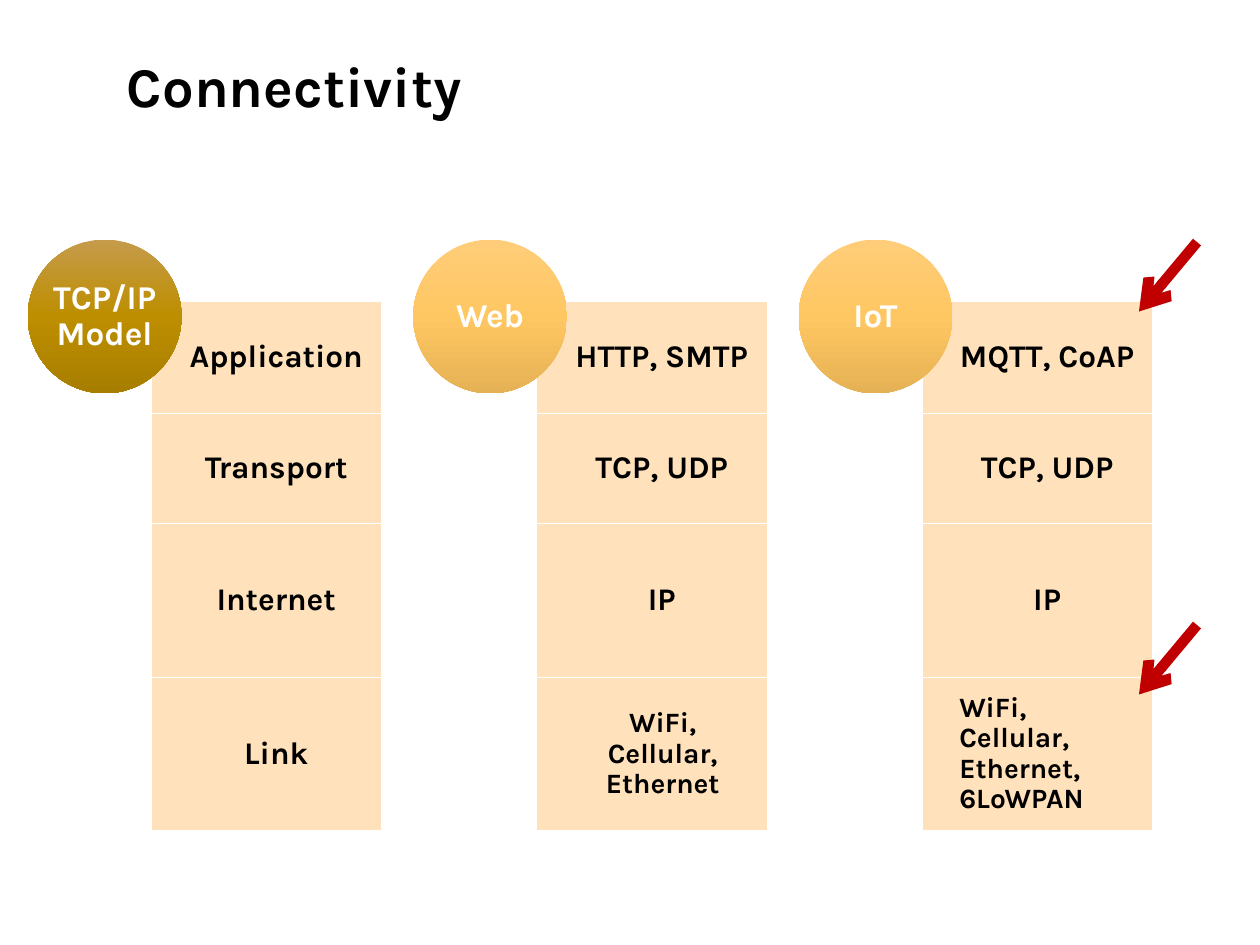
from lxml import etree
from pptx import Presentation
from pptx.dml.color import RGBColor
from pptx.enum.shapes import MSO_CONNECTOR, MSO_SHAPE
from pptx.enum.text import MSO_ANCHOR, PP_ALIGN
from pptx.oxml.ns import qn
from pptx.util import Cm, Pt

LEFT, CENTER = PP_ALIGN.LEFT, PP_ALIGN.CENTER
MIDDLE = MSO_ANCHOR.MIDDLE
RECTANGLE, OVAL = MSO_SHAPE.RECTANGLE, MSO_SHAPE.OVAL
STRAIGHT = MSO_CONNECTOR.STRAIGHT

BLACK = RGBColor(0x00, 0x00, 0x00)
WHITE = RGBColor(0xFF, 0xFF, 0xFF)
PEACH = RGBColor(0xFF, 0xDF, 0xB4)
RED = RGBColor(0xC0, 0x00, 0x00)
BRONZE = [RGBColor(0xC5, 0x9B, 0x4B), RGBColor(0xBD, 0x8E, 0x00), RGBColor(0xA8, 0x7E, 0x00)]
GOLD = [RGBColor(0xFF, 0xCD, 0x7A), RGBColor(0xFF, 0xC7, 0x62), RGBColor(0xE5, 0xB1, 0x55)]
FONT = "Karla"

# Content: heading, circle gradient, layers from top to bottom (text, size, alignment)
TITLE = "Connectivity"
STACKS = [
    ("TCP/IP Model", BRONZE, [("Application", 18, CENTER), ("Transport", 18, CENTER),
                              ("Internet", 18, CENTER), ("Link", 18, CENTER)]),
    ("Web", GOLD, [("HTTP, SMTP", 18, CENTER), ("TCP, UDP", 18, CENTER),
                   ("IP", 18, CENTER), ("WiFi, Cellular, Ethernet", 16, CENTER)]),
    ("IoT", GOLD, [("MQTT, CoAP", 18, CENTER), ("TCP, UDP", 18, CENTER),
                   ("IP", 18, CENTER), ("WiFi, Cellular, Ethernet, 6LoWPAN", 16, LEFT)]),
]

# Layout in centimetres
LAYER_HEIGHTS = [2.27, 2.21, 3.1, 3.1]
LAYERS_LEFT, LAYERS_TOP, LAYER_WIDTH = 3.05, 6.07, 4.65
STACK_PITCH = 7.77
CIRCLE_LEFT, CIRCLE_TOP, CIRCLE_SIZE = 0.56, 4.83, 3.1
ARROW_TOPS = [4.88, 12.6]
ARROW_TAIL_X, ARROW_TIP_X, ARROW_DROP = 24.13, 22.96, 1.4


def write(shape, text, size, color, align, insets):
    frame = shape.text_frame
    frame.text = text
    frame.word_wrap = True
    frame.vertical_anchor = MIDDLE
    (frame.margin_left, frame.margin_top,
     frame.margin_right, frame.margin_bottom) = [Cm(inset) for inset in insets]
    paragraph = frame.paragraphs[0]
    paragraph.alignment = align
    paragraph.line_spacing = 0.9
    font = paragraph.runs[0].font
    font.name, font.size, font.bold = FONT, Pt(size), True
    font.color.rgb = color


def add_layer(slide, left, top, height, text, size, align):
    layer = slide.shapes.add_shape(RECTANGLE, Cm(left), Cm(top), Cm(LAYER_WIDTH), Cm(height))
    layer.shadow.inherit = False
    layer.fill.solid()
    layer.fill.fore_color.rgb = PEACH
    fill_color = layer.fill._xPr.find(qn("a:solidFill"))[0]
    etree.SubElement(fill_color, qn("a:alpha"), val="90000")
    layer.line.color.rgb = WHITE
    layer.line.width = Pt(0.5)
    inset = size * 0.02
    write(layer, text, size, BLACK, align, (0.75, inset, inset, inset))


def add_circle(slide, left, text, colors):
    circle = slide.shapes.add_shape(OVAL, Cm(left), Cm(CIRCLE_TOP),
                                    Cm(CIRCLE_SIZE), Cm(CIRCLE_SIZE))
    circle.shadow.inherit = False
    circle.line.fill.background()
    circle.fill.gradient()
    circle.fill.gradient_angle = 270
    # Three evenly spaced stops
    stops = circle.fill._xPr.find(qn("a:gradFill")).find(qn("a:gsLst"))
    for stop in list(stops):
        stops.remove(stop)
    for index, color in enumerate(colors):
        stop = etree.SubElement(stops, qn("a:gs"), pos=str(index * 50000))
        etree.SubElement(stop, qn("a:srgbClr"), val=str(color))
    write(circle, text, 19, WHITE, CENTER, (0, 0, 0, 0))


def add_arrow(slide, top):
    arrow = slide.shapes.add_connector(STRAIGHT, Cm(ARROW_TAIL_X), Cm(top),
                                       Cm(ARROW_TIP_X), Cm(top + ARROW_DROP))
    arrow.line.color.rgb = RED
    arrow.line.width = Pt(6)
    etree.SubElement(arrow.line._get_or_add_ln(), qn("a:tailEnd"), type="arrow")
    etree.SubElement(arrow._element.spPr, qn("a:effectLst"))


def main():
    deck = Presentation()
    deck.slide_width, deck.slide_height = Cm(25.4), Cm(19.05)
    slide = deck.slides.add_slide(deck.slide_layouts[6])

    # Title
    title = slide.shapes.add_textbox(Cm(2.31), Cm(0.46), Cm(22.1), Cm(2.69))
    write(title, TITLE, 32, BLACK, LEFT, (0.25, 0.25, 0.25, 0.25))

    # Protocol stacks
    for column, (heading, colors, layers) in enumerate(STACKS):
        offset = column * STACK_PITCH
        top = LAYERS_TOP
        for (text, size, align), height in zip(layers, LAYER_HEIGHTS):
            add_layer(slide, LAYERS_LEFT + offset, top, height, text, size, align)
            top += height
        add_circle(slide, CIRCLE_LEFT + offset, heading, colors)

    # Arrows at the layers that differ for IoT
    for top in ARROW_TOPS:
        add_arrow(slide, top)

    deck.save("out.pptx")


if __name__ == "__main__":
    main()
